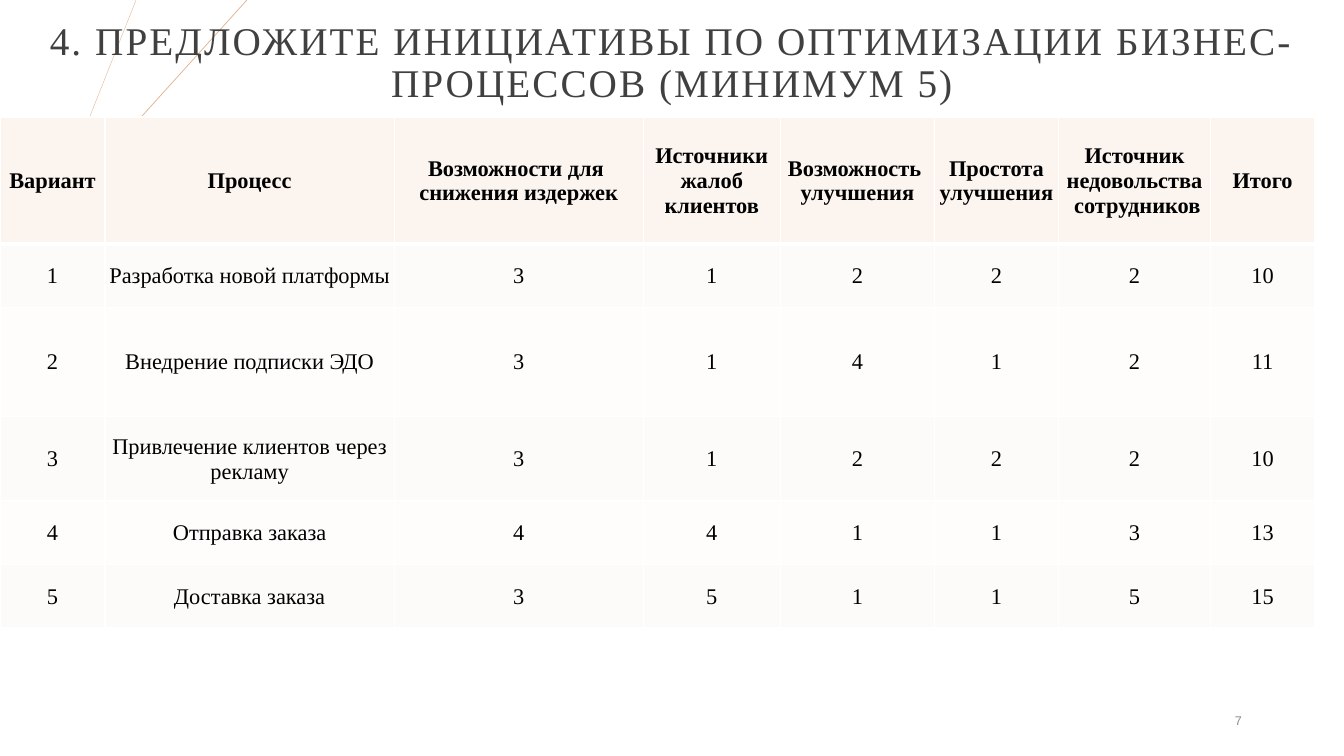
import dataclasses

import lxml.etree
import pptx
import pptx.dml.color
import pptx.enum.shapes
import pptx.enum.text
import pptx.oxml.ns
import pptx.util

GRID_COLUMNS, GRID_ROWS = 160, 90

TITLE = "4. ПРЕДЛОЖИТЕ ИНИЦИАТИВЫ ПО ОПТИМИЗАЦИИ БИЗНЕС-ПРОЦЕССОВ (МИНИМУМ 5)"
CRITERIA = [
    "Вариант", "Процесс", "Возможности для \vснижения издержек",
    "Источники жалоб\vклиентов", "Возможность \vулучшения",
    "Простота улучшения", "Источник недовольства\v сотрудников", "Итого",
]
INITIATIVES = [
    (1, "Разработка новой платформы", 3, 1, 2, 2, 2, 10),
    (2, "Внедрение подписки ЭДО", 3, 1, 4, 1, 2, 11),
    (3, "Привлечение клиентов через рекламу", 3, 1, 2, 2, 2, 10),
    (4, "Отправка заказа", 4, 4, 1, 1, 3, 13),
    (5, "Доставка заказа", 3, 5, 1, 1, 5, 15),
]
CRITERIA_WIDTHS = [12.5, 34.44, 29.64, 16.32, 18.36, 14.76, 18.12, 12.36]
INITIATIVE_HEIGHTS = [15.12, 7.56, 12.96, 10.08, 7.56, 7.56]


@dataclasses.dataclass(frozen=True)
class Theme:
    heading_font: str = "Times New Roman"
    number_font: str = "Arial"
    title_size: float = 28
    table_size: float = 16
    number_size: float = 9
    title_color: str = "404040"
    table_color: str = "000000"
    number_color: str = "8C8C8C"
    accent: str = "E2B18D"
    border: str = "FFFFFF"
    header_fill: str = "FBF4EF"
    band_fills: tuple = ("FDFBF9", "FEFDFC")


def rgb(code):
    return pptx.dml.color.RGBColor.from_string(code)


class SlideBuilder:
    def __init__(self, deck, theme):
        self.theme = theme
        self.column = deck.slide_width / GRID_COLUMNS
        self.row = deck.slide_height / GRID_ROWS
        self.slide = deck.slides.add_slide(deck.slide_layouts[5])
        self.shapes = self.slide.shapes

    def across(self, columns):
        return pptx.util.Emu(round(columns * self.column))

    def down(self, rows):
        return pptx.util.Emu(round(rows * self.row))

    def box(self, left, top, width, height):
        return self.across(left), self.down(top), self.across(width), self.down(height)

    def style(self, paragraph, font_name, size, color, align, bold=False):
        paragraph.alignment = align
        font = paragraph.font
        font.name, font.size, font.bold = font_name, pptx.util.Pt(size), bold
        font.color.rgb = rgb(color)

    def accent_line(self, top_column, left_row, weight):
        """Draw a diagonal from the top edge to the left edge of the slide."""
        diagonal = self.shapes.add_connector(
            pptx.enum.shapes.MSO_CONNECTOR.STRAIGHT,
            self.across(top_column), 0, 0, self.down(left_row))
        diagonal.line.color.rgb = rgb(self.theme.accent)
        diagonal.line.width = pptx.util.Pt(weight)
        lxml.etree.SubElement(
            diagonal._element.spPr, pptx.oxml.ns.qn("a:effectLst"))

    def page_number(self, number, *place):
        frame = self.shapes.add_textbox(*self.box(*place)).text_frame
        frame.word_wrap = True
        frame.vertical_anchor = pptx.enum.text.MSO_ANCHOR.MIDDLE
        frame.text = str(number)
        self.style(frame.paragraphs[0], self.theme.number_font, self.theme.number_size,
                   self.theme.number_color, pptx.enum.text.PP_ALIGN.RIGHT)

    def title(self, wording, *place):
        """Fill the title placeholder and bring it in front of what is drawn so far."""
        heading = self.shapes.title
        self.shapes._spTree.append(heading._element)
        heading.left, heading.top, heading.width, heading.height = self.box(*place)
        frame = heading.text_frame
        frame.text = wording
        frame.word_wrap = True
        frame.auto_size = pptx.enum.text.MSO_AUTO_SIZE.NONE
        frame.vertical_anchor = pptx.enum.text.MSO_ANCHOR.MIDDLE
        paragraph = frame.paragraphs[0]
        paragraph.line_spacing = 0.9
        self.style(paragraph, self.theme.heading_font, self.theme.title_size,
                   self.theme.title_color, pptx.enum.text.PP_ALIGN.CENTER)
        paragraph.runs[0].font._element.set("spc", "150")

    def border(self, cell, side, weight):
        edge = lxml.etree.SubElement(
            cell._tc.get_or_add_tcPr(), pptx.oxml.ns.qn(f"a:ln{side}"),
            w=str(pptx.util.Pt(weight)))
        fill = lxml.etree.SubElement(edge, pptx.oxml.ns.qn("a:solidFill"))
        lxml.etree.SubElement(
            fill, pptx.oxml.ns.qn("a:srgbClr"), val=self.theme.border)

    def cell(self, cell, wording, fill, bold, top_weight, bottom_weight):
        for side, weight in zip("LRTB", (1, 1, top_weight, bottom_weight)):
            self.border(cell, side, weight)
        cell.fill.solid()
        cell.fill.fore_color.rgb = rgb(fill)
        cell.margin_left = cell.margin_right = cell.margin_top = pptx.util.Inches(0.01)
        cell.margin_bottom = 0
        cell.vertical_anchor = pptx.enum.text.MSO_ANCHOR.MIDDLE
        cell.text = str(wording)
        self.style(cell.text_frame.paragraphs[0], self.theme.heading_font,
                   self.theme.table_size, self.theme.table_color,
                   pptx.enum.text.PP_ALIGN.CENTER, bold)

    def table(self, left, top, widths, heights, records):
        table = self.shapes.add_table(
            len(heights), len(widths),
            *self.box(left, top, sum(widths), sum(heights))).table
        for column, width in zip(table.columns, widths):
            column.width = self.across(width)
        for index, (row, height, record) in enumerate(zip(table.rows, heights, records)):
            row.height = self.down(height)
            header = index == 0
            fill = self.theme.header_fill if header else self.theme.band_fills[(index - 1) % 2]
            for cell, wording in zip(row.cells, record):
                self.cell(cell, wording, fill, header,
                          top_weight=3 if index == 1 else 1,
                          bottom_weight=3 if header else 1)


def main():
    deck = pptx.Presentation()
    deck.slide_width = pptx.util.Inches(13.33)
    deck.slide_height = pptx.util.Inches(7.5)
    builder = SlideBuilder(deck, Theme())
    builder.accent_line(16.2, 40.8, 0.25)
    builder.accent_line(29.4, 32.52, 0.5)
    builder.page_number(7, 113.04, 83.4, 36, 4.8)
    builder.title(TITLE, 0, 0, GRID_COLUMNS, 15.12)
    builder.table(0, 13.92, CRITERIA_WIDTHS, INITIATIVE_HEIGHTS, [CRITERIA, *INITIATIVES])
    deck.save("out.pptx")


if __name__ == "__main__":
    main()
